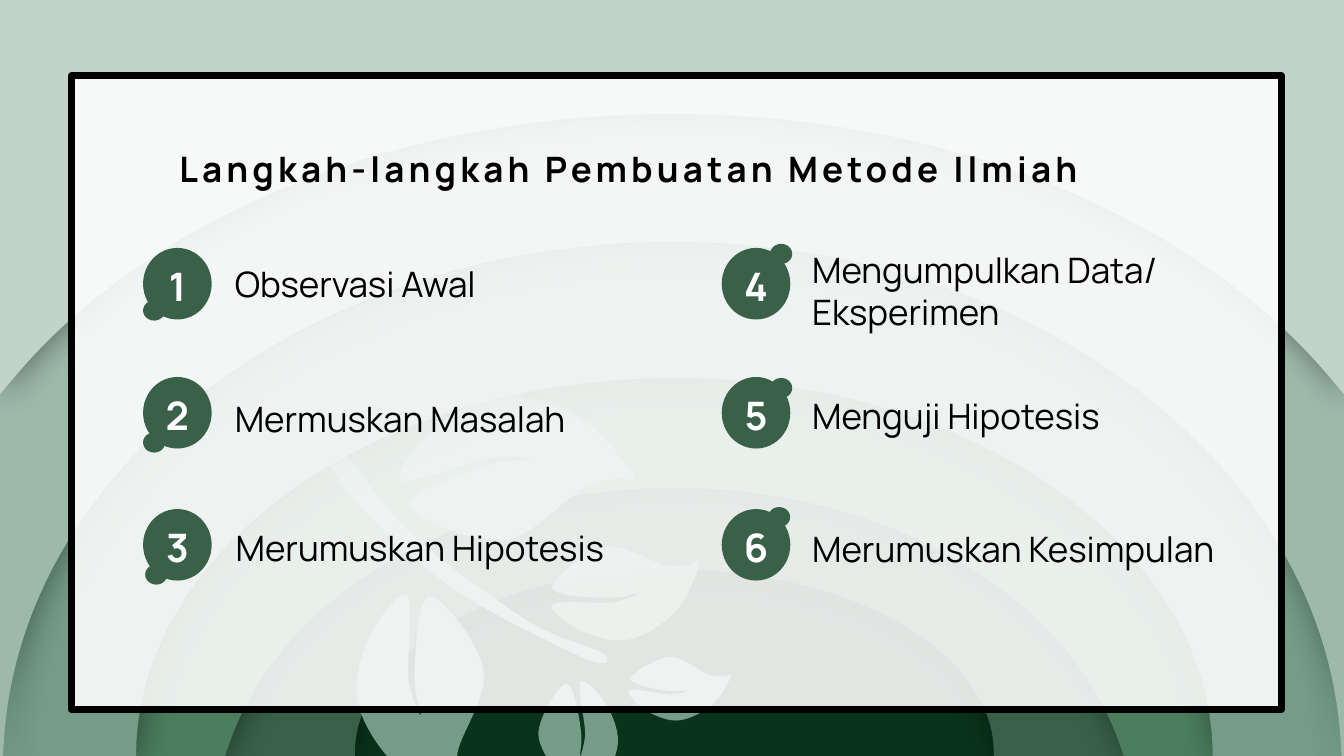
from math import cos, radians, sin

from lxml import etree
from pptx import Presentation
from pptx.dml.color import RGBColor
from pptx.enum.shapes import MSO_SHAPE
from pptx.enum.text import MSO_AUTO_SIZE, PP_ALIGN
from pptx.oxml.ns import qn
from pptx.util import Pt

RECT, OVAL = MSO_SHAPE.RECTANGLE, MSO_SHAPE.OVAL
GROW = MSO_AUTO_SIZE.SHAPE_TO_FIT_TEXT
CENTER = PP_ALIGN.CENTER

W, H = 960, 540
FONT = "Manrope"
BLACK, WHITE = "000000", "FFFFFF"
NIGHT, GREEN, SAGE = "0A331B", "396148", "749C86"
DISC_W, DISC_H = 49, 51.1
BEAD_W, BEAD_H = 15.8, 14.4

# Arches: colour, bottom, centre x, half width at the bottom,
# then the half curve: foot, two handles and top, with x from the centre
BACK_ARCHES = [
    (GREEN, H, 481.7, 228.2,
     [(228.2, 537.8), (228.2, 465.8), (126, 406.8), (0, 406.8)]),
    ("4B7D5E", H, 481.7, 321.1,
     [(318.2, 532.1), (282.2, 426.2), (153.4, 348.5), (0, 348.5)]),
]
FRONT_ARCHES = [
    (SAGE, H, 481.7, 384.5,
     [(384.5, 540), (384.5, 391), (212.4, 270), (0, 270)]),
    ("9DB9AA", H, 480.2, 478.1,
     [(477.4, 529.2), (465.1, 330.5), (255.6, 172.8), (0, 172.8)]),
    ("C2D4CA", 281.5, 480, 480,
     [(466.6, 265.7), (370.8, 154.8), (198, 81.4), (0, 81.4)]),
]

# Bezier outlines: start, then two handles and an end for each curve
STEM = [
    (238.3, 313.2), (249.1, 324), (270.7, 359.3), (293.8, 381.6),
    (317.5, 403.2), (355.7, 429.8), (378, 444.2),
    (401, 457.9), (424.1, 462.2), (430.6, 466.6),
    (437, 470.9), (434.9, 478.1), (417.6, 470.2),
    (399.6, 462.2), (351.4, 439.2), (324, 420.5),
    (295.9, 401), (267.1, 371.5), (251.3, 355),
    (236.2, 337.7), (234, 326.2), (231.1, 318.2),
    (229, 311), (228.2, 303.1), (238.3, 313.2),
]
# One leaf around its centre, drawn at an angle
LEAF_LENGTH, LEAF_ANGLE = 212, 62.6
LEAF = [
    (-106, 15), (-116, 10), (-88, -25), (-71, -39),
    (-54, -53), (-29, -68), (-6, -69), (18, -70), (49, -60), (71, -47),
    (93, -34), (118, 0), (124, 10), (130, 20), (115, 10), (106, 13),
    (97, 15), (90, 14), (72, 24), (53, 35), (24, 71), (-5, 74),
    (-33, 77), (-91, 54), (-98, 40), (-105, 27), (-36, 4), (-17, -1),
    (1, -7), (25, -4), (25, -6), (26, -7), (7, -10), (-13, -9),
    (-33, -7), (-96, 20), (-106, 15),
]
# Centre x, centre y, length, angle, mirrored, opacity
LEAVES = [
    (363.2, 332.6, 152.6, 62.6, False, 100),
    (299.9, 494.3, 137.5, 191.8, True, 100),
    (444.6, 424.1, 100.8, 100.6, True, 86),
    (483.5, 492.5, 67.7, 108.5, True, 100),
    (413.6, 529.9, 85, 162, False, 100),
]

# Label, label box, disc corner, bead corner
STEPS = [
    ("Observasi Awal", (160.6, 183.6, 214.6), (102.2, 177.1), (102.2, 214.6)),
    ("Mermuskan Masalah", (160.6, 280.1, 284.4), (102.2, 269.3), (102.2, 308.9)),
    ("Merumuskan Hipotesis", (161.3, 372.2, 299.5), (102.2, 363.6), (103.7, 403.2)),
    ("Mengumpulkan Data/ Eksperimen", (573.1, 174.2, 335.5), (515.5, 177.1), (550.1, 174.2)),
    ("Menguji Hipotesis", (573.1, 277.9, 234.7), (515.5, 269.3), (550.1, 270)),
    ("Merumuskan Kesimpulan", (573.1, 373, 334.1), (515.5, 363.6), (548.6, 362.2)),
]


def rgb(value):
    return RGBColor.from_string(value)


def paint(s, color, opacity=100):
    s.shadow.inherit = False
    s.fill.solid()
    s.fill.fore_color.rgb = rgb(color)
    s.line.fill.background()
    if opacity < 100:
        clr = s._element.spPr.find(qn("a:solidFill"))[0]
        etree.SubElement(clr, qn("a:alpha"), val=str(opacity * 1000))


def add_shadow(s):
    effects = s._element.spPr.find(qn("a:effectLst"))
    shadow = etree.SubElement(effects, qn("a:outerShdw"), blurRad=str(Pt(24)),
                              dist=str(Pt(3)), dir=str(45 * 60000),
                              algn="tl", rotWithShape="0")
    clr = etree.SubElement(shadow, qn("a:srgbClr"), val=BLACK)
    etree.SubElement(clr, qn("a:alpha"), val="40000")


def add_outline(shapes, points, color, curved, opacity=100):
    """Closed outline; the points in the slice curved form Bezier curves."""
    fine = [(x * 100, y * 100) for x, y in points]
    builder = shapes.build_freeform(*fine[0], scale=Pt(1) / 100)
    builder.add_line_segments(fine[1:], close=True)
    s = builder.convert_to_shape()
    paint(s, color, opacity)
    nodes = list(s._element.iter(qn("a:moveTo"), qn("a:lnTo")))[curved]
    for i in range(0, len(nodes), 3):
        curve = etree.Element(qn("a:cubicBezTo"))
        nodes[i].addprevious(curve)
        for node in nodes[i:i + 3]:
            curve.append(node[0])
            node.getparent().remove(node)
    return s


def add_arch(shapes, color, bottom, cx, base, half):
    right = [(cx + x, y) for x, y in half]
    left = [(cx - x, y) for x, y in half[-2::-1]]
    points = [(0, 0), (W, 0), (W, bottom), (cx + base, bottom), *right, *left,
              (cx - base, bottom), (0, bottom)]
    add_shadow(add_outline(shapes, points, color, slice(5, 11)))


def turn(x, y, angle):
    c, s = cos(radians(angle)), sin(radians(angle))
    return x * c - y * s, x * s + y * c


def add_leaf(shapes, cx, cy, length, angle, mirrored, opacity):
    k = length / LEAF_LENGTH
    points = []
    for x, y in LEAF:
        x, y = turn(x, y, -LEAF_ANGLE)
        x, y = turn(-x if mirrored else x, y, angle)
        points.append((cx + k * x, cy + k * y))
    add_outline(shapes, points, SAGE, slice(1, len(LEAF)), opacity)


def add_text(shapes, text, x, y, w, h=37.4, size=25, color=BLACK,
             bold=False, spacing=0, wrap=False, align=None):
    tf = shapes.add_textbox(Pt(x), Pt(y), Pt(w), Pt(h)).text_frame
    tf.word_wrap = wrap
    tf.auto_size = GROW
    p = tf.paragraphs[0]
    p.alignment = align
    r = p.add_run()
    r.text = text
    r.font.name, r.font.size, r.font.bold = FONT, Pt(size), bold
    r.font.color.rgb = rgb(color)
    if spacing:
        r.font._element.set("spc", str(spacing * 100))


def add_oval(shapes, x, y, w, h):
    paint(shapes.add_shape(OVAL, Pt(x), Pt(y), Pt(w), Pt(h)), GREEN)


def add_badge(shapes, number, disc, bead):
    group = shapes.add_group_shape().shapes
    x, y = disc
    add_oval(group, x, y, DISC_W, DISC_H)
    add_text(group, str(number), x, y + 7, DISC_W, 41, size=28,
             color=WHITE, bold=True, align=CENTER)
    add_oval(group, *bead, BEAD_W, BEAD_H)


def main():
    prs = Presentation()
    prs.slide_width, prs.slide_height = Pt(W), Pt(H)
    slide = prs.slides.add_slide(prs.slide_layouts[6])
    slide.background.fill.solid()
    slide.background.fill.fore_color.rgb = rgb(NIGHT)
    shapes = slide.shapes

    # Layered arches with the branch between them
    for arch in BACK_ARCHES:
        add_arch(shapes, *arch)
    branch = shapes.add_group_shape().shapes
    add_outline(branch, STEM, SAGE, slice(1, len(STEM)))
    for leaf in LEAVES:
        add_leaf(branch, *leaf)
    for arch in FRONT_ARCHES:
        add_arch(shapes, *arch)

    # Panel and title
    panel = shapes.add_shape(RECT, Pt(51.1), Pt(54), Pt(864), Pt(452.9))
    paint(panel, WHITE, 88)
    panel.line.color.rgb = rgb(BLACK)
    panel.line.width = Pt(5)
    add_text(shapes, "Langkah-langkah Pembuatan Metode Ilmiah",
             121, 101.5, 724.3, bold=True, spacing=3)

    # Numbered steps
    for number, (label, box, disc, bead) in enumerate(STEPS, 1):
        add_text(shapes, label, *box, wrap="/" in label)
        add_badge(shapes, number, disc, bead)

    prs.save("out.pptx")


if __name__ == "__main__":
    main()
